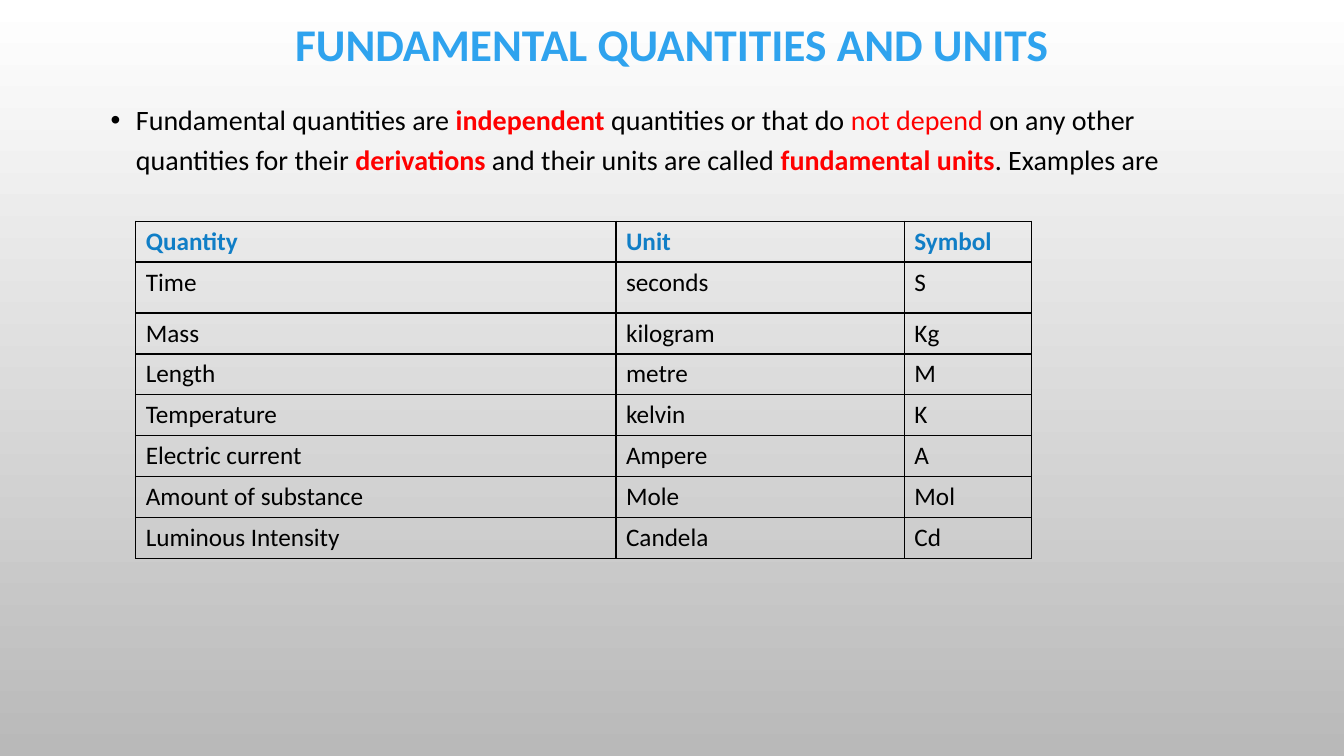
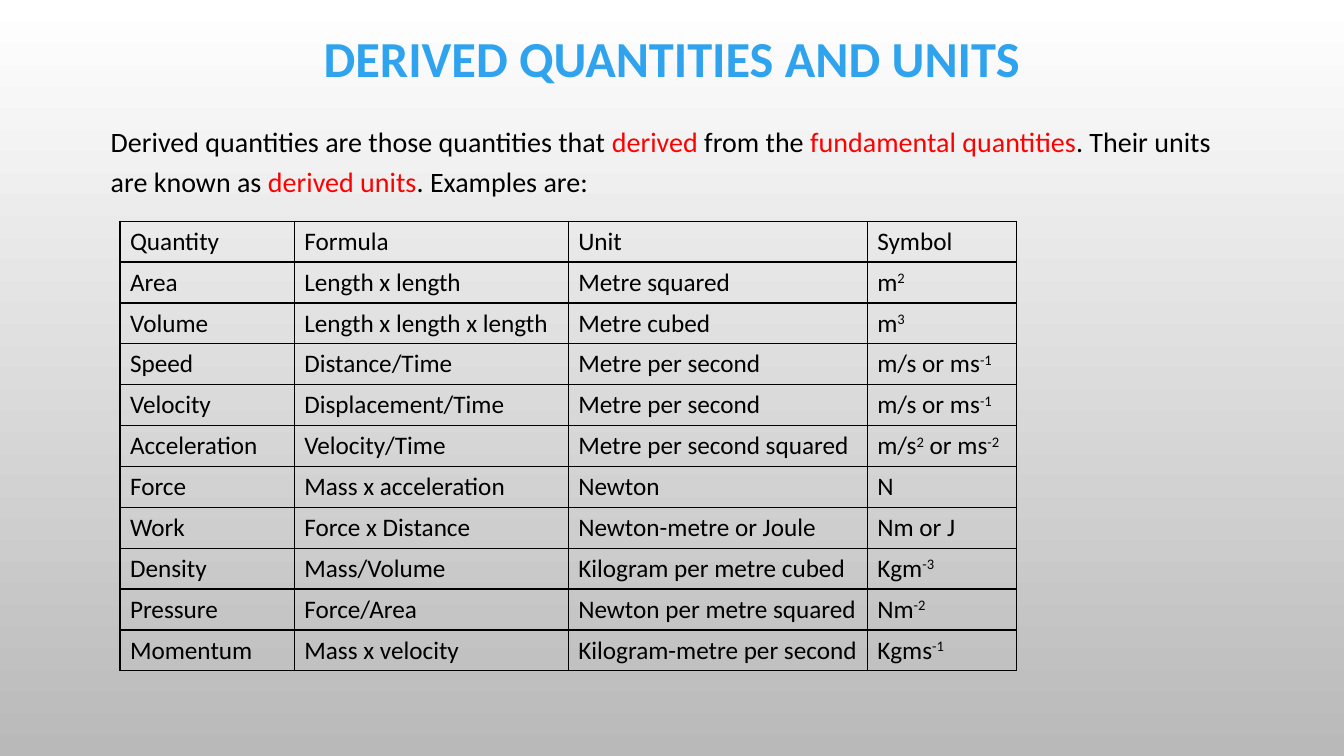
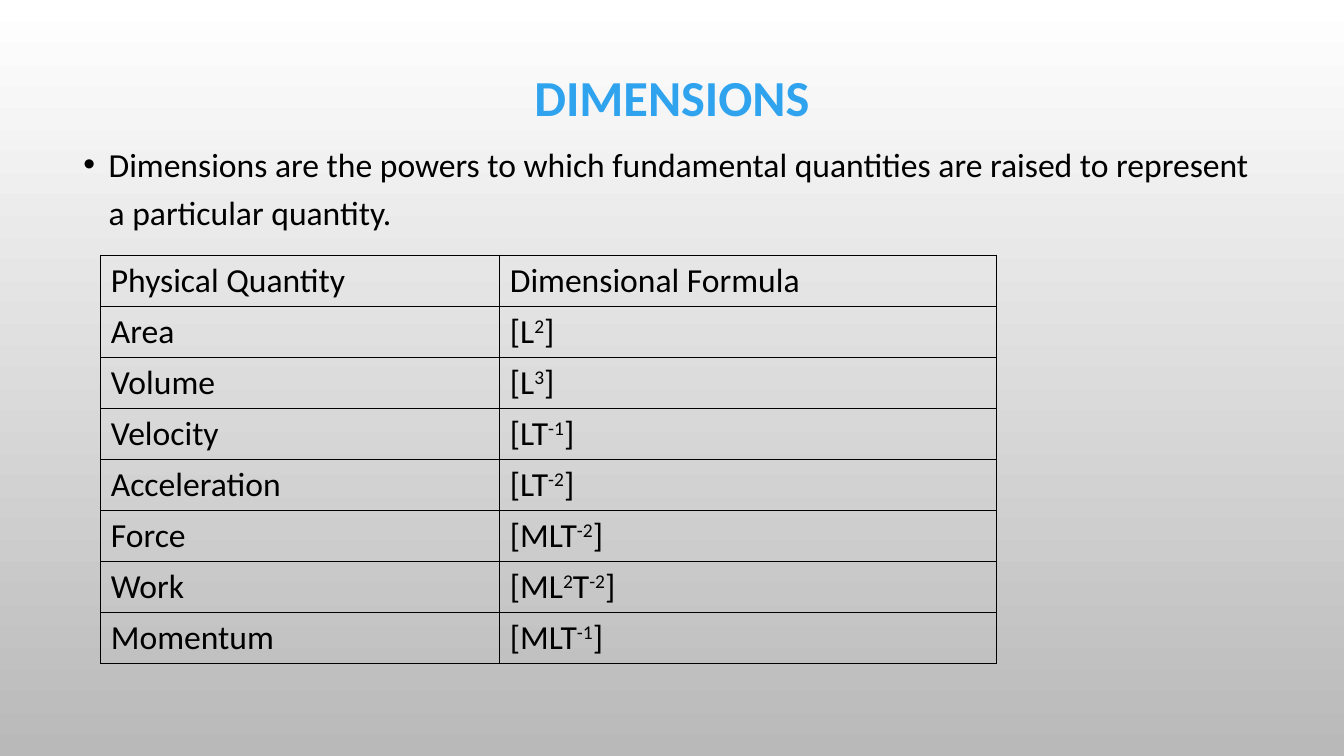
from dataclasses import dataclass

import lxml.etree
import pptx
import pptx.dml.color
import pptx.enum.text
import pptx.oxml.ns
import pptx.util

Pt = pptx.util.Pt
RGB = pptx.dml.color.RGBColor
qn = pptx.oxml.ns.qn


@dataclass(frozen=True)
class Theme:
    font: str = "Calibri"
    title: str = "2FA3EE"
    header: str = "107EC6"
    ink: str = "000000"
    alert: str = "FF0000"
    background_top: str = "FFFFFF"
    background_bottom: str = "B9B9B9"
    title_size: float = 36
    long_title_size: float = 32.4
    large_size: float = 24
    body_size: float = 20
    table_size: float = 18
    border: float = 1
    bullet_indent: float = 18


THEME = Theme()


@dataclass(frozen=True)
class Frame:
    left: float
    top: float
    width: float
    height: float

    def lengths(self) -> tuple:
        return Pt(self.left), Pt(self.top), Pt(self.width), Pt(self.height)


@dataclass(frozen=True)
class Span:
    text: str
    color: str = THEME.ink
    bold: bool = False
    raised: bool = False


@dataclass(frozen=True)
class Title:
    text: str
    frame: Frame
    size: float = THEME.title_size


@dataclass(frozen=True)
class Body:
    spans: tuple[Span, ...]
    frame: Frame
    size: float = THEME.body_size
    bulleted: bool = True


@dataclass(frozen=True)
class Grid:
    left: float
    top: float
    widths: tuple[float, ...]
    heights: tuple[float, ...]
    rows: tuple[tuple[str, ...], ...]
    size: float = THEME.table_size
    header_color: str = THEME.ink
    header_bold: bool = False


@dataclass(frozen=True)
class Lesson:
    title: Title
    body: Body
    grid: Grid


def alert(text: str, bold: bool = False) -> Span:
    return Span(text, THEME.alert, bold)


def write(para, spans: tuple[Span, ...], size: float) -> None:
    for span in spans:
        run = para.add_run()
        run.text = span.text
        run.font.name = THEME.font
        run.font.size = Pt(size)
        run.font.bold = span.bold
        run.font.color.rgb = RGB.from_string(span.color)
        if span.raised:
            run.font._element.set("baseline", "30000")


def cell_spans(text: str, color: str, bold: bool) -> tuple[Span, ...]:
    return tuple(
        Span(part, color, bold, raised=index % 2 == 1)
        for index, part in enumerate(text.split("^"))
        if part
    )


def paint_background(master) -> None:
    fill = master.background.fill
    fill.gradient()
    fill.gradient_angle = 270
    colors = (THEME.background_top, THEME.background_bottom)
    for stop, position, color in zip(fill.gradient_stops, (0, 1), colors):
        stop.position = position
        stop.color.rgb = RGB.from_string(color)


def draw_title(page, title: Title) -> None:
    box = page.shapes.title
    box.left, box.top, box.width, box.height = title.frame.lengths()
    text_frame = box.text_frame
    text_frame.auto_size = pptx.enum.text.MSO_AUTO_SIZE.NONE
    text_frame.vertical_anchor = pptx.enum.text.MSO_ANCHOR.MIDDLE
    para = text_frame.paragraphs[0]
    para.alignment = pptx.enum.text.PP_ALIGN.CENTER
    para.line_spacing = 0.9
    write(para, (Span(title.text, THEME.title, bold=True),), title.size)


def add_bullet(para) -> None:
    properties = para._p.get_or_add_pPr()
    indent = int(Pt(THEME.bullet_indent))
    properties.set("marL", str(indent))
    properties.set("indent", str(-indent))
    color = lxml.etree.SubElement(properties, qn("a:buClr"))
    lxml.etree.SubElement(color, qn("a:srgbClr"), val=THEME.ink)
    lxml.etree.SubElement(properties, qn("a:buFont"), typeface="Arial")
    lxml.etree.SubElement(properties, qn("a:buChar"), char="•")


def draw_body(page, body: Body) -> None:
    box = page.shapes.add_textbox(*body.frame.lengths())
    box.text_frame.word_wrap = True
    para = box.text_frame.paragraphs[0]
    para.line_spacing = 1.2
    para.space_before = Pt(10)
    if body.bulleted:
        add_bullet(para)
    write(para, body.spans, body.size)


def add_borders(cell) -> None:
    properties = cell._tc.get_or_add_tcPr()
    for side in ("a:lnL", "a:lnR", "a:lnT", "a:lnB"):
        line = lxml.etree.SubElement(properties, qn(side), w=str(int(Pt(THEME.border))))
        fill = lxml.etree.SubElement(line, qn("a:solidFill"))
        lxml.etree.SubElement(fill, qn("a:srgbClr"), val=THEME.ink)


def draw_grid(page, grid: Grid) -> None:
    frame = Frame(grid.left, grid.top, sum(grid.widths), sum(grid.heights))
    table = page.shapes.add_table(
        len(grid.rows), len(grid.widths), *frame.lengths()
    ).table
    table.first_row = False
    table.horz_banding = False
    for column, width in zip(table.columns, grid.widths):
        column.width = Pt(width)
    for row, height in zip(table.rows, grid.heights):
        row.height = Pt(height)
    for row_index, texts in enumerate(grid.rows):
        is_header = row_index == 0
        color = grid.header_color if is_header else THEME.ink
        bold = is_header and grid.header_bold
        for column_index, text in enumerate(texts):
            cell = table.cell(row_index, column_index)
            add_borders(cell)
            cell.fill.background()
            para = cell.text_frame.paragraphs[0]
            write(para, cell_spans(text, color, bold), grid.size)


LESSONS = (
    Lesson(
        Title(
            "FUNDAMENTAL QUANTITIES AND UNITS",
            Frame(72, 16.5, 816, 34),
            THEME.long_title_size,
        ),
        Body(
            (
                Span("Fundamental quantities are "),
                alert("independent", bold=True),
                Span(" quantities or that do "),
                alert("not depend "),
                Span("on any other quantities for their "),
                alert("derivations", bold=True),
                Span(" and their units are called "),
                alert("fundamental units", bold=True),
                Span(". Examples are"),
            ),
            Frame(72, 65, 816, 391),
        ),
        Grid(
            97, 158, (343, 206, 91), (29.2, 36.4) + (29.2,) * 6,
            (
                ("Quantity", "Unit", "Symbol"),
                ("Time", "seconds", "S"),
                ("Mass", "kilogram", "Kg"),
                ("Length", "metre", "M"),
                ("Temperature", "kelvin", "K"),
                ("Electric current", "Ampere", "A"),
                ("Amount of substance", "Mole", "Mol"),
                ("Luminous Intensity", "Candela", "Cd"),
            ),
            header_color=THEME.header,
            header_bold=True,
        ),
    ),
    Lesson(
        Title("DERIVED QUANTITIES AND UNITS", Frame(72, 27.5, 816, 32)),
        Body(
            (
                Span("Derived quantities are those quantities that "),
                alert("derived"),
                Span(" from the "),
                alert("fundamental quantities"),
                Span(". Their units are known as "),
                alert("derived units"),
                Span(". Examples are:"),
            ),
            Frame(72, 80.5, 816, 420),
            bulleted=False,
        ),
        Grid(
            85.7, 158, (124.5, 195.7, 213.6, 106.4), (29.2,) * 11,
            (
                ("Quantity", "Formula", "Unit", "Symbol"),
                ("Area", "Length x length", "Metre squared", "m^2^"),
                ("Volume", "Length x length x length", "Metre cubed", "m^3^"),
                ("Speed", "Distance/Time", "Metre per second", "m/s or ms^-1^"),
                ("Velocity", "Displacement/Time", "Metre per second", "m/s or ms^-1^"),
                ("Acceleration", "Velocity/Time", "Metre per second squared", "m/s^2^ or ms^-2^"),
                ("Force", "Mass x acceleration", "Newton", "N"),
                ("Work", "Force x Distance", "Newton-metre or Joule", "Nm or J"),
                ("Density", "Mass/Volume", "Kilogram per metre cubed", "Kgm^-3^"),
                ("Pressure", "Force/Area", "Newton per metre squared", "Nm^-2^"),
                ("Momentum", "Mass x velocity", "Kilogram-metre per second", "Kgms^-1^"),
            ),
        ),
    ),
    Lesson(
        Title("DIMENSIONS", Frame(72, 49, 816, 44.5)),
        Body(
            (
                Span(
                    "Dimensions are the powers to which fundamental quantities "
                    "are raised to represent a particular quantity."
                ),
            ),
            Frame(52.5, 93.5, 849, 397.5),
            THEME.large_size,
        ),
        Grid(
            72, 182.3, (285, 355), (36.5,) * 8,
            (
                ("Physical Quantity", "Dimensional Formula"),
                ("Area", "[L^2^]"),
                ("Volume", "[L^3^]"),
                ("Velocity", "[LT^-1^]"),
                ("Acceleration", "[LT^-2^]"),
                ("Force", "[MLT^-2^]"),
                ("Work", "[ML^2^T^-2^]"),
                ("Momentum", "[MLT^-1^]"),
            ),
            size=THEME.large_size,
        ),
    ),
)


def main() -> None:
    deck = pptx.Presentation()
    deck.slide_width, deck.slide_height = Pt(960), Pt(540)
    paint_background(deck.slide_master)
    title_only = deck.slide_layouts.get_by_name("Title Only")
    for lesson in LESSONS:
        page = deck.slides.add_slide(title_only)
        draw_title(page, lesson.title)
        draw_body(page, lesson.body)
        draw_grid(page, lesson.grid)
    deck.save("out.pptx")


if __name__ == "__main__":
    main()
